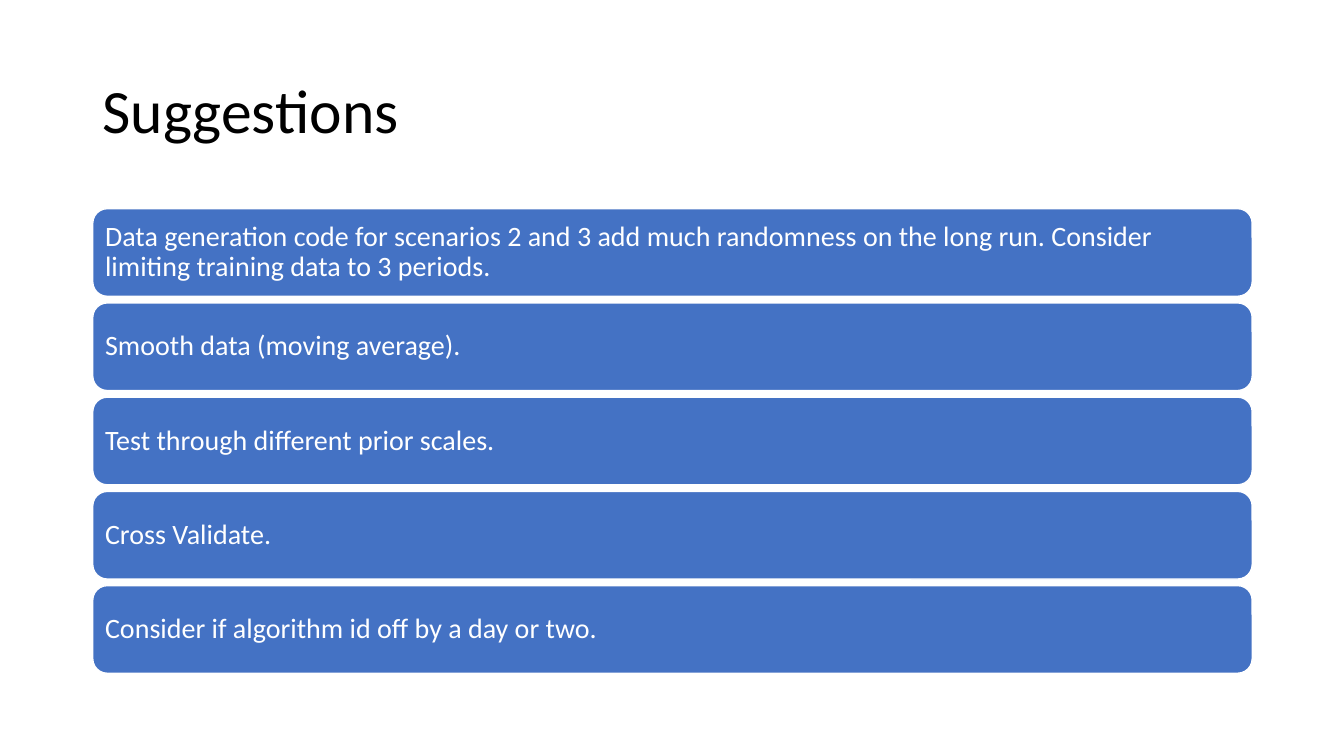
from pptx import Presentation
from pptx.dml.color import RGBColor
from pptx.enum.shapes import MSO_SHAPE
from pptx.enum.text import MSO_ANCHOR, PP_ALIGN
from pptx.util import Inches, Pt

ROUND = MSO_SHAPE.ROUNDED_RECTANGLE
MIDDLE = MSO_ANCHOR.MIDDLE
LEFT = PP_ALIGN.LEFT

WIDTH, HEIGHT = 13.33, 7.5
MARGIN, SPAN = 0.92, 11.5
TITLE_TOP, TITLE_TALL = 0.4, 1.45
LIST_TOP, LIST_TALL, BAR_TALL = 2.07, 4.61, 0.87

TIPS = [
    "Data generation code for scenarios 2 and 3 add much randomness "
    "on the long run. Consider limiting training data to 3 periods.",
    "Smooth data (moving average).",
    "Test through different prior scales.",
    "Cross Validate.",
    "Consider if algorithm id off by a day or two.",
]
PITCH = (LIST_TALL - BAR_TALL) / (len(TIPS) - 1)


def color(code):
    return RGBColor.from_string(code)


class Deck:
    """Holds the style and the current slide."""

    font = "Calibri"
    ink, paper, accent = "000000", "FFFFFF", "4472C4"

    def __init__(self, show):
        self.slide = show.slides.add_slide(show.slide_layouts[6])

    def band(self, top, tall):
        """Give the place of a full-width band between the side margins."""
        return [Inches(n) for n in (MARGIN, top, SPAN, tall)]

    def label(self, shape, text, size, code):
        """Fill a shape with one styled paragraph and return its frame."""
        frame = shape.text_frame
        frame.text = text
        frame.word_wrap = True
        frame.vertical_anchor = MIDDLE
        line = frame.paragraphs[0]
        line.alignment = LEFT
        line.line_spacing = 0.9
        font = line.runs[0].font
        font.name = self.font
        font.size = Pt(size)
        font.color.rgb = color(code)
        return frame

    def title(self, text):
        shape = self.slide.shapes.add_textbox(*self.band(TITLE_TOP, TITLE_TALL))
        self.label(shape, text, 44, self.ink)

    def bar(self, row, text):
        place = self.band(LIST_TOP + row * PITCH, BAR_TALL)
        shape = self.slide.shapes.add_shape(ROUND, *place)
        shape.shadow.inherit = False
        shape.fill.solid()
        shape.fill.fore_color.rgb = color(self.accent)
        shape.line.color.rgb = color(self.paper)
        shape.line.width = Pt(1)
        frame = self.label(shape, text, 20, self.paper)
        frame.margin_left = frame.margin_right = Inches(0.08)
        frame.margin_top = frame.margin_bottom = Inches(0.08)


def main():
    show = Presentation()
    show.slide_width, show.slide_height = Inches(WIDTH), Inches(HEIGHT)
    deck = Deck(show)
    deck.title("Suggestions")
    for row, tip in enumerate(TIPS):
        deck.bar(row, tip)
    show.save("out.pptx")


if __name__ == "__main__":
    main()
